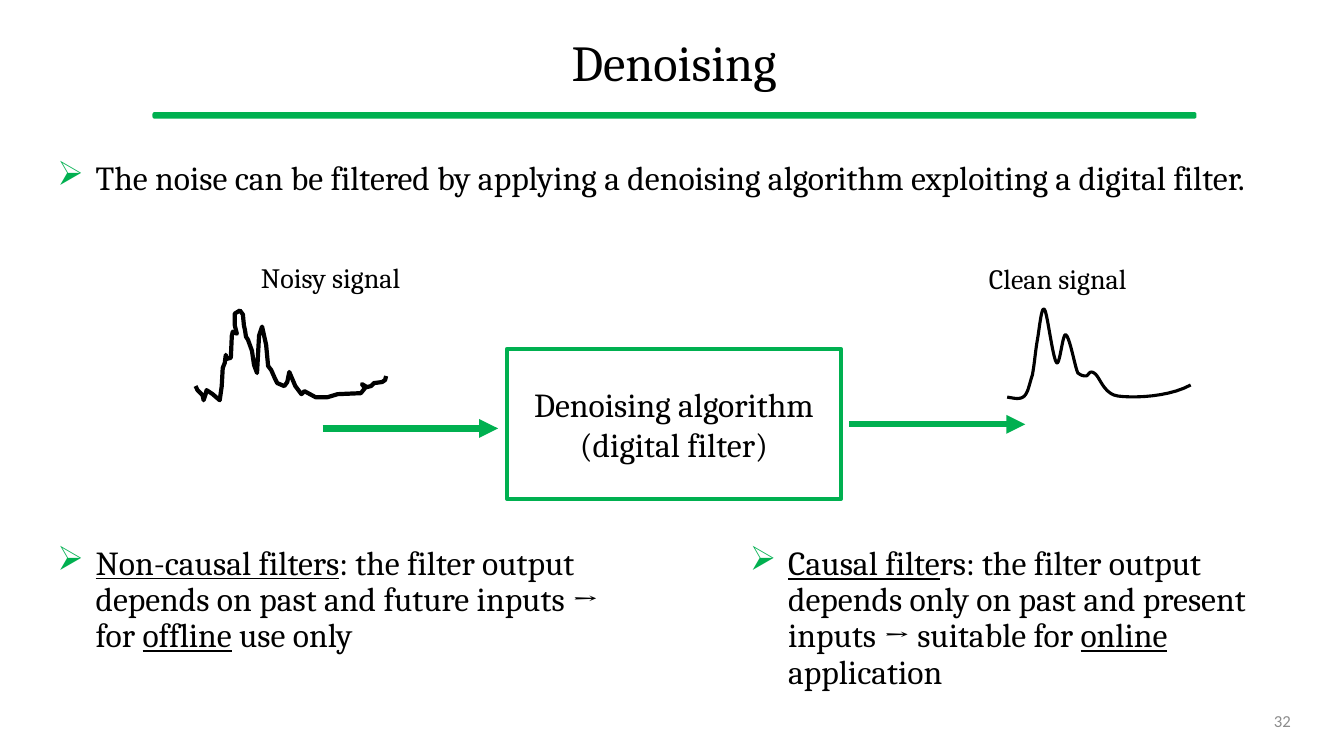
from lxml import etree
from pptx import Presentation
from pptx import util as u
from pptx.dml.color import RGBColor
from pptx.enum import shapes, text
from pptx.oxml.ns import qn

COLORS = {"green": "00B050", "black": "000000", "white": "FFFFFF", "gray": "8C8C8C"}
FONT = "Cambria"
WIDTH, HEIGHT = u.Inches(13.33), u.Inches(7.5)
LEFT, FULL_WIDTH = 3.53, 93.25  # percent of the slide width
CENTER, RIGHT = text.PP_ALIGN.CENTER, text.PP_ALIGN.RIGHT
MIDDLE = text.MSO_ANCHOR.MIDDLE

# Points in hundredths of an inch from the top left of each signal
NOISY_POINTS = [
    (0, 75), (2, 79), (7, 84), (8, 89), (10, 83), (11, 79), (17, 83), (24, 89),
    (26, 75), (27, 57), (29, 52), (30, 44), (31, 48), (35, 47), (36, 25), (37, 21),
    (41, 23), (39, 15), (39, 3), (44, 0), (47, 4), (48, 15), (49, 19), (50, 26),
    (52, 29), (56, 40), (58, 54), (61, 62), (63, 25), (66, 16), (68, 25), (70, 34),
    (72, 55), (75, 59), (79, 68), (81, 72), (88, 75), (91, 71), (93, 61), (99, 75),
    (105, 83), (108, 80), (119, 86), (131, 86), (141, 83), (164, 82), (168, 77),
    (165, 73), (170, 76), (174, 75), (177, 72), (185, 71), (188, 69), (189, 65),
]
CLEAN_CONTROLS = [
    (0, 87), (6, 88), (13, 90), (17, 86), (21, 82), (22, 74), (25, 65),
    (27, 55), (28, 41), (30, 30), (32, 19), (34, -4), (37, 0),
    (40, 4), (45, 48), (49, 53), (52, 57), (55, 24), (58, 25),
    (62, 27), (67, 56), (70, 63), (74, 66), (76, 66), (78, 66),
    (81, 66), (81, 60), (86, 63), (92, 66), (95, 84), (110, 86),
    (126, 88), (160, 87), (182, 75),
]


def color(name):
    return RGBColor.from_string(COLORS[name])


def across(percent):
    return round(WIDTH * percent / 100)


def down(percent):
    return round(HEIGHT * percent / 100)


def place(left, top, width, height):
    """Turn percentages of the slide into a position and a size."""
    return across(left), down(top), across(width), down(height)


def set_line(shape, name, width):
    shape.line.color.rgb = color(name)
    shape.line.width = u.Pt(width)


def add_run(paragraph, words, size, name="black", font=FONT, underline=None):
    run = paragraph.add_run()
    run.text = words
    run.font.size = u.Pt(size)
    run.font.name = font
    run.font.color.rgb = color(name)
    run.font.underline = underline


def add_title(slide, words):
    title = slide.shapes.title
    title.left, title.top, title.width, title.height = place(LEFT, 2.4, FULL_WIDTH, 12.53)
    title.text_frame.vertical_anchor = MIDDLE
    paragraph = title.text_frame.paragraphs[0]
    paragraph.alignment = CENTER
    paragraph.line_spacing = 0.9
    add_run(paragraph, words, 36)


def add_box(slide, preset, area, fill, line_width):
    shape = slide.shapes.add_shape(preset, *place(*area))
    shape.shadow.inherit = False
    shape.fill.solid()
    shape.fill.fore_color.rgb = color(fill)
    set_line(shape, "green", line_width)
    return shape


def add_process(slide, area, lines):
    frame = add_box(slide, shapes.MSO_SHAPE.RECTANGLE, area, "white", 3).text_frame
    frame.word_wrap = True
    frame.vertical_anchor = MIDDLE
    for index, words in enumerate(lines):
        paragraph = frame.add_paragraph() if index else frame.paragraphs[0]
        paragraph.alignment = CENTER
        add_run(paragraph, words, 24)


def add_text(slide, area):
    """Add a wrapping text box and return its frame and first paragraph."""
    frame = slide.shapes.add_textbox(*place(*area)).text_frame
    frame.word_wrap = True
    return frame, frame.paragraphs[0]


def add_label(slide, area, words):
    add_run(add_text(slide, area)[1], words, 20)


def add_bullet(slide, area, parts):
    """Add a bulleted text from (words, underlined) parts."""
    paragraph = add_text(slide, area)[1]
    properties = paragraph._p.get_or_add_pPr()
    properties.set("marL", str(u.Inches(0.38)))
    properties.set("indent", str(-u.Inches(0.38)))
    bullet_color = etree.SubElement(properties, qn("a:buClr"))
    etree.SubElement(bullet_color, qn("a:srgbClr"), val=COLORS["green"])
    etree.SubElement(properties, qn("a:buChar"), char="➢")
    paragraph.line_spacing = 0.9
    for words, underlined in parts:
        add_run(paragraph, words, 24, underline=underlined)


def add_arrow(slide, start, end, level):
    arrow = slide.shapes.add_connector(
        shapes.MSO_CONNECTOR.STRAIGHT, across(start), down(level), across(end), down(level))
    set_line(arrow, "green", 4.5)
    etree.SubElement(arrow.line._get_or_add_ln(), qn("a:tailEnd"), type="triangle")
    etree.SubElement(arrow._element.spPr, qn("a:effectLst"))


def bezier_points(controls, steps=10):
    """Sample a chain of cubic curves that share their end points."""
    points = [controls[0]]
    for first in range(0, len(controls) - 1, 3):
        curve = controls[first:first + 4]
        for step in range(1, steps + 1):
            t = step / steps
            weights = ((1 - t) ** 3, 3 * t * (1 - t) ** 2, 3 * t * t * (1 - t), t ** 3)
            points.append(tuple(
                sum(weight * point[axis] for weight, point in zip(weights, curve))
                for axis in (0, 1)))
    return points


def add_signal(slide, left, top, points, line_width):
    placed = [(across(left) + u.Inches(x / 100), down(top) + u.Inches(y / 100))
              for x, y in points]
    builder = slide.shapes.build_freeform(*placed[0])
    builder.add_line_segments(placed[1:], close=False)
    signal = builder.convert_to_shape()
    signal.shadow.inherit = False
    signal.fill.background()
    set_line(signal, "black", line_width)


def add_slide_number(slide, number):
    frame, paragraph = add_text(slide, (70.67, 92.67, 26.11, 5.33))
    frame.vertical_anchor = MIDDLE
    paragraph.alignment = RIGHT
    add_run(paragraph, number, 12, "gray", "Calibri")


def main():
    presentation = Presentation()
    presentation.slide_width, presentation.slide_height = WIDTH, HEIGHT
    slide = presentation.slides.add_slide(presentation.slide_layouts[5])

    add_title(slide, "Denoising")
    rule = add_box(slide, shapes.MSO_SHAPE.ROUNDED_RECTANGLE,
                   (11.4, 14.93, 77.57, 0.67), "green", 1)
    rule.adjustments[0] = 0.26
    add_bullet(slide, (LEFT, 20.67, FULL_WIDTH, 12), [
        ("The noise can be filtered by applying a denoising algorithm "
         "exploiting a digital filter.", None)])

    add_process(slide, (37.73, 46.13, 24.83, 19.87),
                ["Denoising algorithm", "(digital filter)"])
    add_signal(slide, 14.55, 41.07, NOISY_POINTS, 3)
    add_signal(slide, 74.94, 40.93, bezier_points(CLEAN_CONTROLS), 2.25)
    add_arrow(slide, 24.01, 37.06, 56.67)
    add_arrow(slide, 63.17, 76.29, 56.13)
    add_label(slide, (18.68, 33.87, 14.93, 5.87), "Noisy signal")
    add_label(slide, (72.84, 34, 14.93, 5.87), "Clean signal")

    add_bullet(slide, (LEFT, 71.6, 44.94, 16.8), [
        ("Non-causal filters", True),
        (": the filter output depends on past and future inputs → for ", None),
        ("offline", True), (" use only", None)])
    add_bullet(slide, (55.06, 71.6, 43.96, 21.33), [
        ("Causal filte", True),
        ("rs: the filter output depends only on past and present inputs → suitable for ", None),
        ("online", True), (" application", None)])
    add_slide_number(slide, "32")
    presentation.save("out.pptx")


if __name__ == "__main__":
    main()
